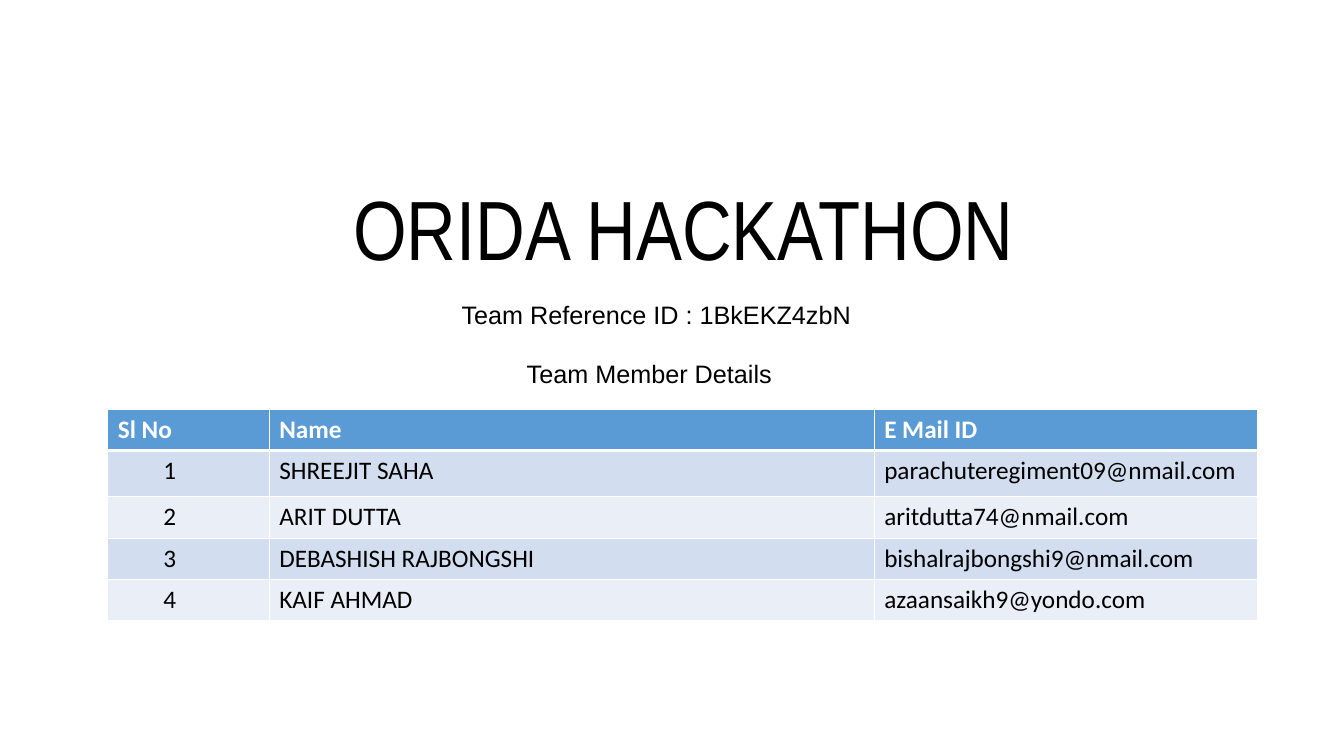
from lxml.etree import SubElement
from pptx import Presentation
from pptx.dml.color import RGBColor
from pptx.enum.text import MSO_ANCHOR as Anchor, MSO_AUTO_SIZE as AutoSize, PP_ALIGN as Align
from pptx.oxml.ns import qn
from pptx.util import Inches, Pt

BLACK = RGBColor(0x00, 0x00, 0x00)
WHITE = RGBColor(0xFF, 0xFF, 0xFF)
HEADER_BLUE = RGBColor(0x5B, 0x9B, 0xD5)
BAND_DARK = RGBColor(0xD2, 0xDE, 0xEF)
BAND_LIGHT = RGBColor(0xEA, 0xEF, 0xF7)

COL_WIDTHS = (1.6, 6, 3.8)
ROW_HEIGHTS = (0.41, 0.46, 0.41, 0.41, 0.41)
MEMBERS = (
    ("Sl No", "Name", "E Mail ID"),
    ("1", "SHREEJIT SAHA", "parachuteregiment09@nmail.com"),
    ("2", "ARIT DUTTA", "aritdutta74@nmail.com"),
    ("3", "DEBASHISH RAJBONGSHI", "bishalrajbongshi9@nmail.com"),
    ("4", "KAIF AHMAD", "azaansaikh9@yondo.com"),
)


def write(tf, text, size=18, font="Arial", color=BLACK, bold=False,
          align=Align.LEFT, spacing=None):
    p = tf.paragraphs[0]
    p.alignment = align
    if spacing:
        p.line_spacing = spacing
    r = p.add_run()
    r.text = text
    r.font.size = Pt(size)
    r.font.name = font
    r.font.bold = bold
    r.font.color.rgb = color


def add_text(slide, box, text, wrap=False, anchor=Anchor.TOP, **fmt):
    tf = slide.shapes.add_textbox(*map(Inches, box)).text_frame
    tf.word_wrap = wrap
    tf.auto_size = AutoSize.NONE if wrap else AutoSize.SHAPE_TO_FIT_TEXT
    tf.vertical_anchor = anchor
    write(tf, text, **fmt)


def set_borders(cell, top=1, bottom=1):
    # Border lines come before the fill in the cell properties
    tc_pr = cell._tc.get_or_add_tcPr()
    for side, width in (("L", 1), ("R", 1), ("T", top), ("B", bottom)):
        ln = SubElement(tc_pr, qn(f"a:ln{side}"), w=str(Pt(width)))
        fill = SubElement(ln, qn("a:solidFill"))
        SubElement(fill, qn("a:srgbClr"), val=str(WHITE))


def add_member_table(slide, left, top):
    size = (sum(COL_WIDTHS), sum(ROW_HEIGHTS))
    table = slide.shapes.add_table(
        len(MEMBERS), len(COL_WIDTHS), *map(Inches, (left, top, *size))).table
    for col, width in zip(table.columns, COL_WIDTHS):
        col.width = Inches(width)
    for i, (row, height) in enumerate(zip(table.rows, ROW_HEIGHTS)):
        row.height = Inches(height)
        header = i == 0
        band = HEADER_BLUE if header else (BAND_LIGHT, BAND_DARK)[i % 2]
        for j, (cell, text) in enumerate(zip(row.cells, MEMBERS[i])):
            set_borders(cell, top=3 if i == 1 else 1, bottom=3 if header else 1)
            cell.fill.solid()
            cell.fill.fore_color.rgb = band
            if j == 0 and not header:
                cell.margin_left = Inches(0.55)
            write(cell.text_frame, text, font="Calibri", bold=header,
                  color=WHITE if header else BLACK)


def main():
    prs = Presentation()
    prs.slide_width, prs.slide_height = Inches(13.33), Inches(7.5)
    slide = prs.slides.add_slide(prs.slide_layouts[6])

    # Title
    add_text(slide, (1.78, 1.46, 10, 1.35), "ORIDA HACKATHON", wrap=True,
             anchor=Anchor.BOTTOM, size=60, font="Arial Narrow",
             align=Align.CENTER, spacing=0.9)

    # Team members
    add_member_table(slide, 1.07, 4.06)

    # Team captions
    add_text(slide, (4.48, 2.92, 4.1, 0.4), "Team Reference ID : 1BkEKZ4zbN")
    add_text(slide, (5.11, 3.51, 2.66, 0.4), "Team Member Details",
             align=Align.CENTER)

    prs.save("out.pptx")


if __name__ == "__main__":
    main()
